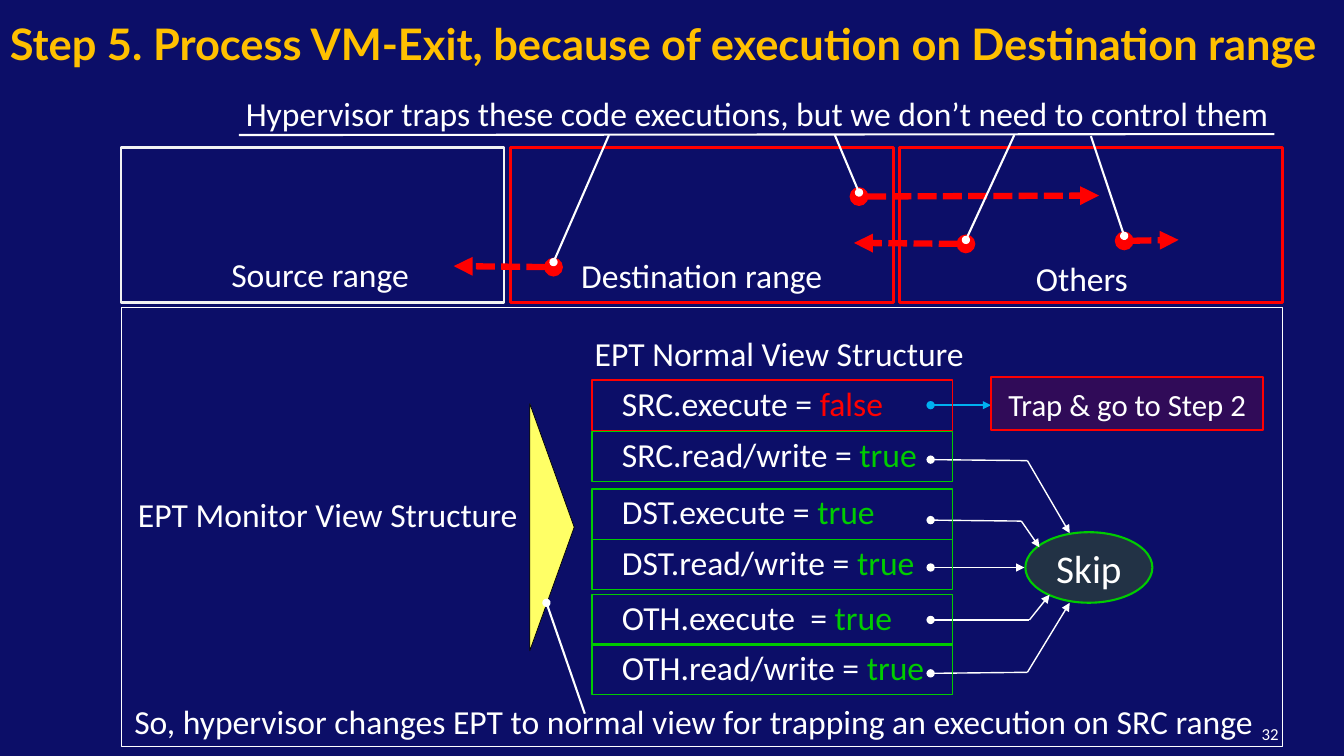
from dataclasses import dataclass
from typing import Optional

from lxml.etree import SubElement
from pptx import Presentation
from pptx.dml.color import RGBColor
from pptx.enum.dml import MSO_LINE
from pptx.enum.shapes import MSO_CONNECTOR, MSO_SHAPE
from pptx.enum.text import MSO_ANCHOR, MSO_AUTO_SIZE, PP_ALIGN
from pptx.oxml.ns import qn
from pptx.util import Inches, Pt


@dataclass(frozen=True)
class Theme:
    background: str = "0C0E68"
    title: str = "FFC000"
    white: str = "FFFFFF"
    pale: str = "F2F2F2"
    red: str = "FF0000"
    green: str = "00CC00"
    dark_green: str = "385723"
    blue: str = "00B0F0"
    yellow: str = "FFFF66"
    black: str = "000000"
    title_font: str = "Lato"
    body_font: str = "Calibri"
    title_size: int = 31
    skip_size: int = 28
    body_size: int = 24
    trap_size: int = 22
    number_size: int = 12


THEME = Theme()


@dataclass(frozen=True)
class Label:
    text: str
    box: tuple
    align: PP_ALIGN = PP_ALIGN.LEFT
    wrap: bool = True


@dataclass(frozen=True)
class Range:
    left: float
    color: str
    label: Label


@dataclass(frozen=True)
class Permission:
    name: str
    value: str
    top: float


@dataclass(frozen=True)
class LineStyle:
    color: str = THEME.white
    width: float = 1
    head: Optional[str] = None
    tail: Optional[str] = None
    dashed: bool = False


JUMP = LineStyle(THEME.red, 4.5, "oval", "triangle", True)
CALLOUT = LineStyle(width=1.5, head="oval")
UNDERLINE = LineStyle(width=1.5)
TRAP = LineStyle(THEME.blue, 1.5, "oval", "triangle")
DIRECT = LineStyle(head="oval", tail="triangle")
ELBOW_START = LineStyle(head="oval")
ELBOW_END = LineStyle(tail="triangle")

RANGES = [
    Range(8.92, THEME.red, Label("Others", (9.87, 2.51, 1.72, 0.5), PP_ALIGN.CENTER)),
    Range(5.06, THEME.red, Label("Destination range", (5.64, 2.48, 2.64, 0.5), PP_ALIGN.CENTER)),
    Range(1.2, THEME.pale, Label("Source range", (2.01, 2.47, 2.33, 0.5), PP_ALIGN.CENTER)),
]
LABELS = [
    Label("EPT Normal View Structure", (5.8, 3.25, 3.89, 0.5)),
    Label("Hypervisor traps these code executions, but we don’t need to control them",
          (2.34, 0.87, 10.44, 0.5), wrap=False),
    Label("EPT Monitor View Structure", (1.27, 4.85, 4.08, 0.5), wrap=False),
    Label("So, hypervisor changes EPT to normal view for trapping an execution on SRC range",
          (1.18, 6.9, 11.4, 0.5), PP_ALIGN.CENTER),
]
PERMISSIONS = [
    Permission("SRC.execute = ", "false", 3.77),
    Permission("SRC.read/write = ", "true", 4.28),
    Permission("DST.execute = ", "true", 4.85),
    Permission("DST.read/write = ", "true", 5.35),
    Permission("OTH.execute  = ", "true", 5.9),
    Permission("OTH.read/write = ", "true", 6.39),
]
JUMPS = [
    ((9.58, 2.42), (8.47, 2.41)),
    ((11.15, 2.39), (11.69, 2.38)),
    ((8.52, 1.95), (10.9, 1.94)),
    ((5.49, 2.65), (4.5, 2.64)),
]
CALLOUTS = [
    ((9.58, 2.38), (10.06, 1.34)),
    ((8.52, 1.91), (8.28, 1.34)),
    ((11.15, 2.34), (10.82, 1.35)),
    ((5.49, 2.6), (6.04, 1.34)),
]
# Start, bend and end of each path into the Skip ellipse
ELBOWS = [
    ((9.23, 5.16), (10.13, 5.17), (10.31, 5.43)),
    ((9.23, 4.56), (10.19, 4.57), (10.61, 5.29)),
    ((9.23, 6.15), (10.21, 6.15), (10.41, 5.9)),
    ((9.23, 6.68), (10.19, 6.67), (10.61, 5.98)),
]


def rgb(color: str) -> RGBColor:
    return RGBColor.from_string(color)


def write_text(shape, *runs, size=THEME.body_size, font=THEME.body_font, bold=False,
               align=PP_ALIGN.LEFT, anchor=MSO_ANCHOR.TOP, wrap=True, grow=False,
               spacing=None, indent=0) -> None:
    """Fill a shape with one paragraph of (text, color) runs."""
    frame = shape.text_frame
    frame.word_wrap = wrap
    frame.vertical_anchor = anchor
    frame.auto_size = MSO_AUTO_SIZE.SHAPE_TO_FIT_TEXT if grow else MSO_AUTO_SIZE.NONE
    paragraph = frame.paragraphs[0]
    paragraph.alignment = align
    if spacing:
        paragraph.line_spacing = spacing
    if indent:
        paragraph._p.get_or_add_pPr().set("marL", str(Inches(indent)))
    for text, color in runs:
        run = paragraph.add_run()
        run.text = text
        run.font.name, run.font.size, run.font.bold = font, Pt(size), bold
        run.font.color.rgb = rgb(color)


def add_text(slide, box: tuple, text: str, color: str = THEME.white, **text_format) -> None:
    write_text(slide.shapes.add_textbox(*map(Inches, box)), (text, color), **text_format)


def add_label(slide, label: Label) -> None:
    add_text(slide, label.box, label.text, align=label.align, wrap=label.wrap, grow=True)


def add_outline(slide, kind, box: tuple, color: str, width: float, fill=None, opacity=100):
    shape = slide.shapes.add_shape(kind, *map(Inches, box))
    shape.shadow.inherit = False
    shape.line.color.rgb, shape.line.width = rgb(color), Pt(width)
    if fill is None:
        shape.fill.background()
    else:
        shape.fill.solid()
        shape.fill.fore_color.rgb = rgb(fill)
        if opacity < 100:
            color_element = shape._element.spPr.find(qn("a:solidFill"))[0]
            SubElement(color_element, qn("a:alpha")).set("val", str(opacity * 1000))
    return shape


def add_line(slide, start: tuple, end: tuple, style: LineStyle) -> None:
    connector = slide.shapes.add_connector(MSO_CONNECTOR.STRAIGHT, *map(Inches, start + end))
    connector.line.color.rgb, connector.line.width = rgb(style.color), Pt(style.width)
    if style.dashed:
        connector.line.dash_style = MSO_LINE.SQUARE_DOT
    line_element = connector.line._get_or_add_ln()
    for tag, kind in (("a:headEnd", style.head), ("a:tailEnd", style.tail)):
        if kind:
            SubElement(line_element, qn(tag)).set("type", kind)
    SubElement(connector._element.spPr, qn("a:effectLst"))


def build_slide(slide) -> None:
    slide.background.fill.solid()
    slide.background.fill.fore_color.rgb = rgb(THEME.background)
    # Title, lower frame and captions
    add_text(slide, (0, 0.18, 13.33, 0.57),
             "Step 5. Process VM-Exit, because of execution on Destination range", THEME.title,
             size=THEME.title_size, font=THEME.title_font, bold=True, spacing=0.9, grow=True)
    add_outline(slide, MSO_SHAPE.RECTANGLE, (1.2, 3.05, 11.52, 4.35), THEME.white, 0.5)
    for label in LABELS:
        add_label(slide, label)
    add_line(slide, (2.37, 1.34), (12.64, 1.33), UNDERLINE)
    triangle = add_outline(slide, MSO_SHAPE.ISOSCELES_TRIANGLE, (4.25, 5.01, 2.45, 0.44),
                           THEME.black, 0.5, THEME.yellow)
    triangle.rotation = 90
    add_text(slide, (9.78, 7.08, 3, 0.4), "32", size=THEME.number_size,
             align=PP_ALIGN.RIGHT, anchor=MSO_ANCHOR.MIDDLE)
    # Memory ranges with jumps between them
    for item in RANGES:
        add_outline(slide, MSO_SHAPE.RECTANGLE, (item.left, 1.46, 3.8, 1.54), item.color, 2)
    for item in reversed(RANGES):
        add_label(slide, item.label)
    for start, end in JUMPS:
        add_line(slide, start, end, JUMP)
    for start, end in CALLOUTS:
        add_line(slide, start, end, CALLOUT)
    # Outcomes: skip or trap
    add_line(slide, (9.23, 4.02), (9.83, 4.02), TRAP)
    skip = add_outline(slide, MSO_SHAPE.OVAL, (10.17, 5.28, 1.26, 0.7), THEME.green, 1.5,
                       THEME.dark_green, 50)
    write_text(skip, ("Skip", THEME.white), size=THEME.skip_size,
               align=PP_ALIGN.CENTER, anchor=MSO_ANCHOR.MIDDLE)
    add_line(slide, (9.23, 5.63), (10.16, 5.63), DIRECT)
    for start, bend, end in ELBOWS:
        add_line(slide, start, bend, ELBOW_START)
        add_line(slide, bend, end, ELBOW_END)
    # Permission rows
    for row in PERMISSIONS:
        color = THEME.green if row.value == "true" else THEME.red
        cell = add_outline(slide, MSO_SHAPE.RECTANGLE, (5.87, row.top, 3.58, 0.5), color, 1)
        write_text(cell, (row.name, THEME.white), (row.value, color),
                   anchor=MSO_ANCHOR.MIDDLE, spacing=0.9, indent=0.2)
    trap = add_outline(slide, MSO_SHAPE.RECTANGLE, (9.83, 3.74, 2.7, 0.53), THEME.red, 1.25,
                       THEME.red, 15)
    write_text(trap, ("Trap & go to Step 2", THEME.white), size=THEME.trap_size,
               align=PP_ALIGN.CENTER, anchor=MSO_ANCHOR.MIDDLE)
    add_line(slide, (5.42, 5.98), (5.8, 7.08), CALLOUT)


def main() -> None:
    presentation = Presentation()
    presentation.slide_width, presentation.slide_height = Inches(13.33), Inches(7.5)
    build_slide(presentation.slides.add_slide(presentation.slide_layouts[6]))
    presentation.save("out.pptx")


if __name__ == "__main__":
    main()
